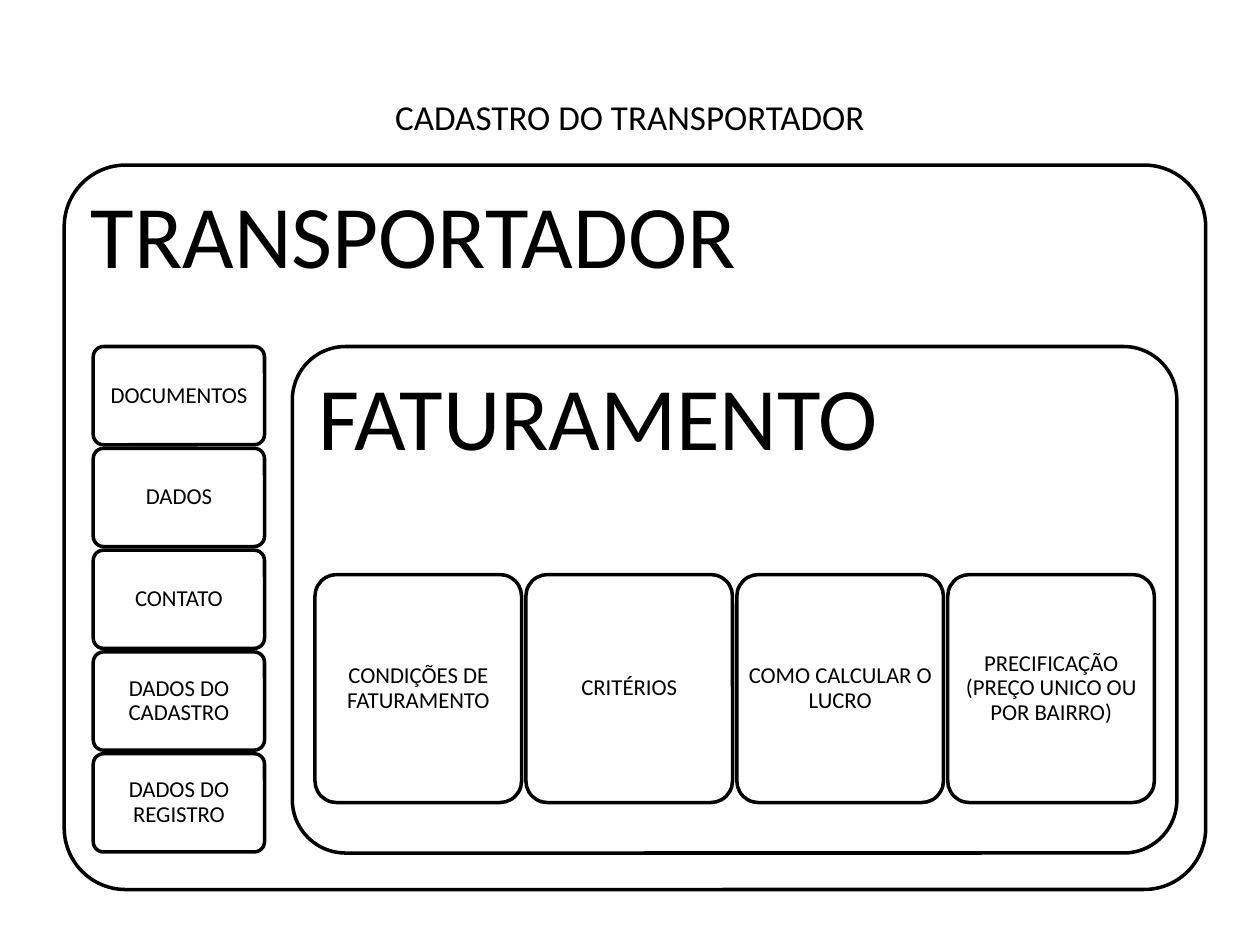
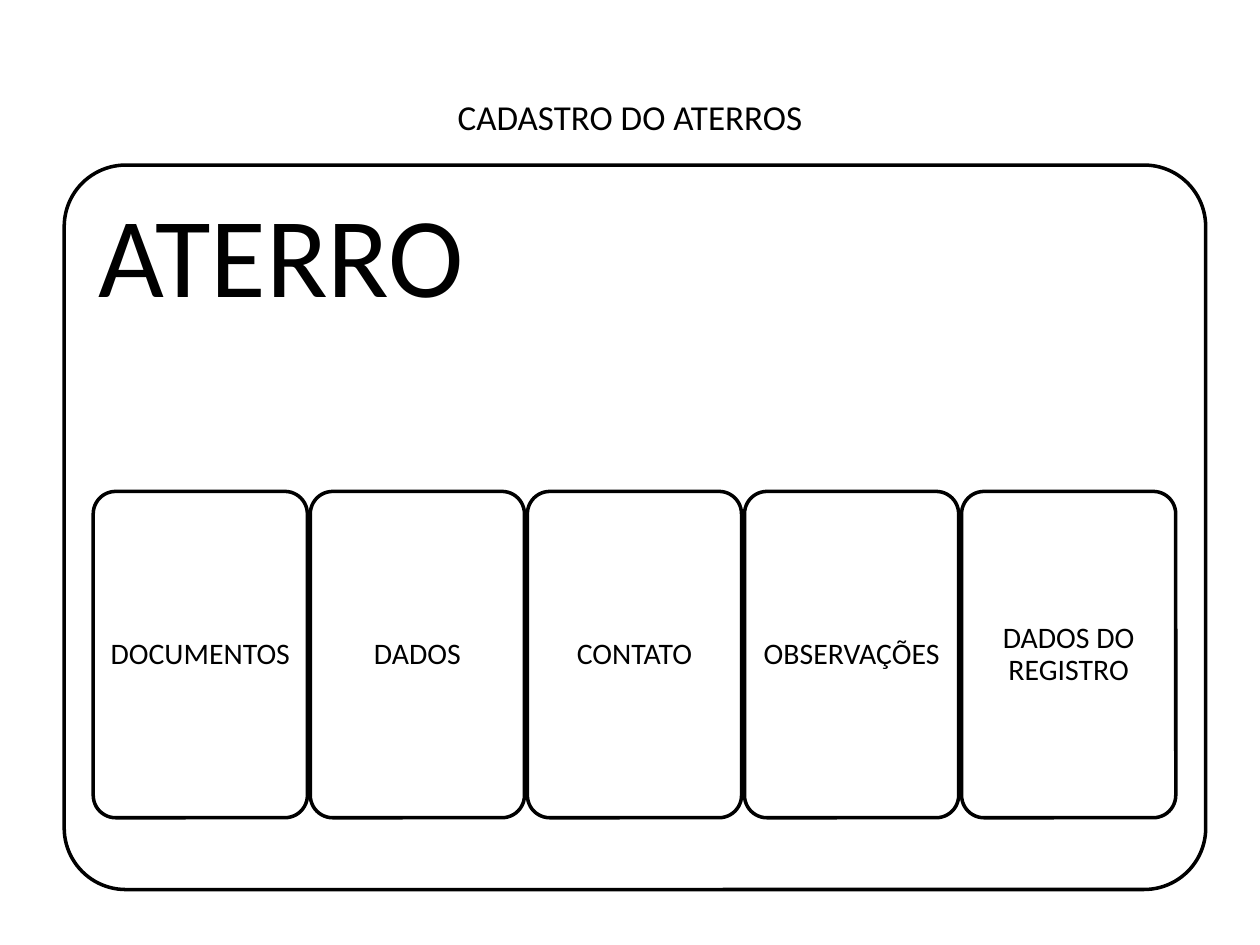
import copy
import pptx
import pptx.util
import pptx.dml.color
import pptx.enum.shapes
import pptx.enum.text
import pptx.oxml.ns

Inches, Pt = pptx.util.Inches, pptx.util.Pt
ALIGN = pptx.enum.text.PP_ALIGN
ANCHOR = pptx.enum.text.MSO_ANCHOR
ROUND = pptx.enum.shapes.MSO_SHAPE.ROUNDED_RECTANGLE
BLACK = pptx.dml.color.RGBColor(0, 0, 0)
WHITE = pptx.dml.color.RGBColor(255, 255, 255)
FONT = "Calibri"
CURVE = 0.105            # corner radius as a share of the short side
FRAME = (0.51, 1.31, 9.06, 5.75)


def write(shape, text, size, align=ALIGN.CENTER, anchor=ANCHOR.MIDDLE,
          inset=0.05, space=0.9):
    frame = shape.text_frame
    frame.word_wrap = True
    frame.vertical_anchor = anchor
    frame.margin_left = frame.margin_right = Inches(inset)
    frame.margin_top = frame.margin_bottom = Inches(inset)
    para = frame.paragraphs[0]
    para.text = text
    para.alignment = align
    para.line_spacing = space
    for run in para.runs:
        run.font.size = Pt(size)
        run.font.name = FONT
        run.font.color.rgb = BLACK
    # A line break takes the format of the run before it
    for stop in shape.element.iter(pptx.oxml.ns.qn("a:br")):
        stop.append(copy.deepcopy(stop.getprevious()[0]))


def box(slide, place, text, size, inset, curve=CURVE, **style):
    shape = slide.shapes.add_shape(ROUND, *[Inches(n) for n in place])
    shape.adjustments[0] = curve
    shape.shadow.inherit = False
    shape.fill.solid()
    shape.fill.fore_color.rgb = WHITE
    shape.line.color.rgb = BLACK
    shape.line.width = Pt(2)
    # Rounded corners already push the text in by 0.29 of the radius
    corner = 0.29 * curve * min(place[2:])
    write(shape, text, size, inset=max(0, inset - corner), **style)


deck = pptx.Presentation()
deck.slide_width, deck.slide_height = Inches(10), Inches(7.5)
head = dict(align=ALIGN.LEFT, anchor=ANCHOR.TOP)

# Shared parts: title and outer frame
slides = []
for title, name, size, inset in [
        ("CADASTRO DO TRANSPORTADOR", "TRANSPORTADOR", 51, 0.21),
        ("CADASTRO DO ATERROS", "ATERRO", 65, 0.27)]:
    slide = deck.slides.add_slide(deck.slide_layouts[5])
    top = slide.shapes.title
    top.left, top.top = Inches(0.5), Inches(0.3)
    top.width, top.height = Inches(9), Inches(1.25)
    write(top, title, 20, space=1.0)
    box(slide, FRAME, name, size, inset, curve=0.085, **head)
    slides.append(slide)
haul, fill = slides

# Slide 1: column of records
for i, text in enumerate(["DOCUMENTOS", "DADOS", "CONTATO",
                          "DADOS DO CADASTRO", "DADOS DO REGISTRO"]):
    box(haul, (0.74, 2.75 + i * 0.808, 1.36, 0.78), text, 13, 0.05)

# Slide 1: billing panel and its row
box(haul, (2.32, 2.75, 7.02, 4.02), "FATURAMENTO", 51, 0.21, **head)
for i, text in enumerate(["CONDIÇÕES DE FATURAMENTO", "CRITÉRIOS",
                          "COMO CALCULAR O LUCRO",
                          "PRECIFICAÇÃO\v(PREÇO UNICO OU POR BAIRRO)"]):
    box(haul, (2.5 + i * 1.674, 4.56, 1.64, 1.81), text, 13, 0.05)

# Slide 2: row of records
for i, text in enumerate(["DOCUMENTOS", "DADOS", "CONTATO",
                          "OBSERVAÇÕES", "DADOS DO REGISTRO"]):
    box(fill, (0.74 + i * 1.723, 3.9, 1.7, 2.59), text, 17, 0.07)

deck.save("out.pptx")
